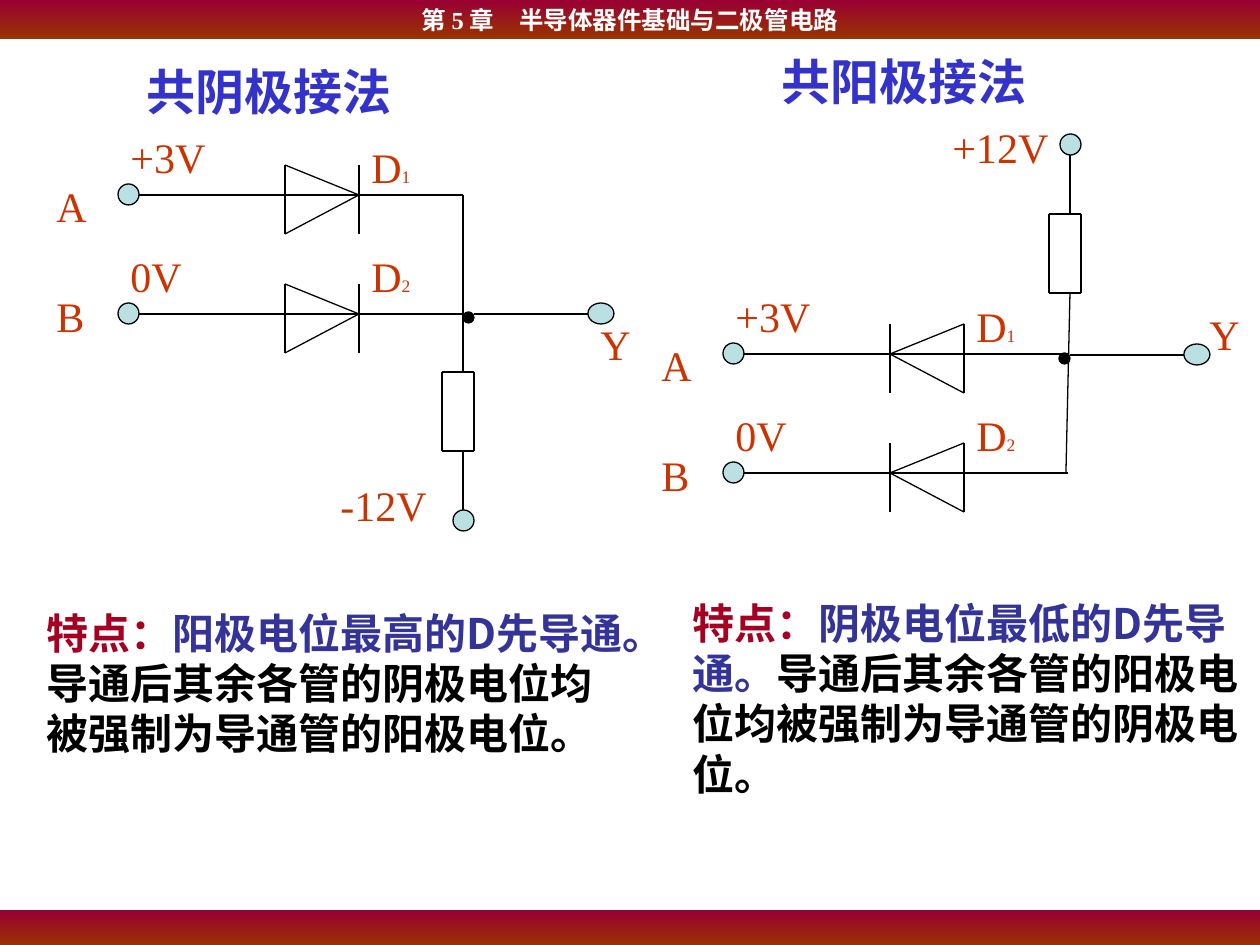
from pptx import Presentation
from pptx import util as u
from pptx.dml.color import RGBColor
from pptx.enum import shapes, text
from pptx.oxml.ns import qn
from lxml import etree

SCALE = 914400 // 126
SERIF, SANS = "Times New Roman", "Noto Sans CJK SC"
BLACK, RUST, PALE = "000000", "CC3300", "BBE0E3"
BLUE, INDIGO, RED = "3333CC", "333399", "A50021"
ROW = 119  # from one input wire to the next


def emu(*vals):
    return [u.Emu(v * SCALE) for v in vals]


def color(code):
    return RGBColor.from_string(code)


def write(frame, runs, **form):
    """Fill a frame with one paragraph of (words, size, colour, font, bold) runs."""
    para = frame.paragraphs[0]
    for key, val in form.items():
        setattr(para, key, val)
    for words, size, tint, face, bold in runs:
        run = para.add_run()
        run.text = words
        run.font.color.rgb = color(tint)
        for key, val in {"size": u.Pt(size), "name": face, "bold": bold}.items():
            setattr(run.font, key, val)
        east = etree.SubElement(run.font._element, qn("a:ea"))
        east.set("typeface", SANS)


def box(slide, x, y, w, h, runs):
    frame = slide.shapes.add_textbox(*emu(x, y, w, h)).text_frame
    frame.word_wrap = True
    write(frame, runs, line_spacing=u.Pt(runs[0][1] * 1.2))


def label(slide, x, y, words, sub="", w=105):
    runs = [(words, 24, RUST, SERIF, False)]
    if sub:
        runs.append((sub, 10, RUST, SERIF, False))
    box(slide, x, y, w, 63, runs)


def wire(slide, *points):
    """Join each point to the next with a straight line."""
    for start, end in zip(points, points[1:]):
        line = slide.shapes.add_connector(
            shapes.MSO_CONNECTOR.STRAIGHT, *emu(*start, *end))
        line.line.color.rgb = color(BLACK)
        line.line.width = u.Pt(0.75)
        etree.SubElement(line._element.spPr, qn("a:effectLst"))


def node(slide, x, y, w=21, h=21, fill=PALE):
    dot = slide.shapes.add_shape(
        shapes.MSO_SHAPE.FLOWCHART_CONNECTOR, *emu(x, y, w, h))
    dot.shadow.inherit = False
    dot.fill.solid()
    dot.fill.fore_color.rgb = color(fill)
    dot.line.color.rgb = color(BLACK)
    dot.line.width = u.Pt(0.75)


def band(slide, y, h):
    bar = slide.shapes.add_shape(shapes.MSO_SHAPE.RECTANGLE, *emu(0, y, 1260, h))
    bar.shadow.inherit = False
    bar.line.fill.background()
    bar.fill.gradient()
    bar.fill.gradient_angle = 270
    for stop, code in zip(bar.fill.gradient_stops, ("990033", "993300")):
        stop.color.rgb = color(code)
    return bar


def diode(slide, x, y, flip):
    """Draw a diode whose tip points right, or left if flip is set."""
    left, right = x, x + 74
    base, tip = (right, left) if flip else (left, right)
    wire(slide, (tip, y), (tip, y + 69))
    wire(slide, (base, y), (tip, y + 30), (base, y + 69), (base, y))


def resistor(slide, x, y):
    wire(slide, (x, y), (x + 32, y), (x + 32, y + 79), (x, y + 79), (x, y))


def inputs(slide, x, y, flip):
    """Draw the two input branches, with the first node at x, y."""
    for i, (name, volt) in enumerate((("A", "+3V"), ("B", "0V"))):
        top = y + i * ROW
        node(slide, x, top)
        wire(slide, (x + 21, top + 11), (x + 345, top + 11))
        diode(slide, x + 167, top - 19, flip)
        label(slide, x - 74, y - 10 + i * 110, name, w=95)
        label(slide, x, top - 59, volt)
        label(slide, x + 241, y - 49 + i * 109, "D", str(i + 1))


def cathode(slide):
    inputs(slide, 118, 184, False)
    wire(slide, (463, 195), (463, 372))
    resistor(slide, 442, 372)
    wire(slide, (463, 451), (463, 510))
    node(slide, 453, 510)
    label(slide, 328, 473, "-12V", w=136)
    wire(slide, (474, 314), (588, 314))
    node(slide, 588, 303, 26)
    label(slide, 588, 312, "Y")
    node(slide, 463, 312, 11, 11, BLACK)


def anode(slide):
    inputs(slide, 723, 343, True)
    wire(slide, (1070, 294), (1066, 473))
    resistor(slide, 1049, 214)
    wire(slide, (1070, 155), (1070, 214))
    node(slide, 1060, 134)
    label(slide, 940, 115, "+12V", w=136)
    wire(slide, (1070, 355), (1184, 355))
    node(slide, 1184, 344, 26)
    label(slide, 1197, 302, "Y")
    node(slide, 1059, 353, 11, 11, BLACK)


def title(slide, x, y, w, words):
    box(slide, x, y, w, 72, [(words, 28, BLUE, SERIF, True)])


def trait(slide, x, y, w, rule, rest):
    parts = (("特点：", RED), (rule, INDIGO), (rest, BLACK))
    box(slide, x, y, w, 214,
        [(words, 24, tint, SANS, True) for words, tint in parts])


def main():
    deck = Presentation()
    deck.slide_width, deck.slide_height = emu(1260, 945)
    slide = deck.slides.add_slide(deck.slide_layouts[6])

    band(slide, 910, 37)
    frame = band(slide, 0, 39).text_frame
    frame.word_wrap = False
    frame.vertical_anchor = text.MSO_ANCHOR.MIDDLE
    write(frame, [("第 5 章　半导体器件基础与二极管电路", 14, "FFFFFF", SERIF, True)],
          alignment=text.PP_ALIGN.CENTER)

    anode(slide)
    title(slide, 769, 45, 387, "共阳极接法")
    trait(slide, 680, 591, 581, "阴极电位最低的D先导通。",
          "导通后其余各管的阳极电位均被强制为导通管的阴极电位。")

    cathode(slide)
    title(slide, 134, 55, 357, "共阴极接法")
    trait(slide, 34, 601, 605, "阳极电位最高的D先导通。",
          "导通后其余各管的阴极电位均被强制为导通管的阳极电位。")
    deck.save("out.pptx")


if __name__ == "__main__":
    main()
